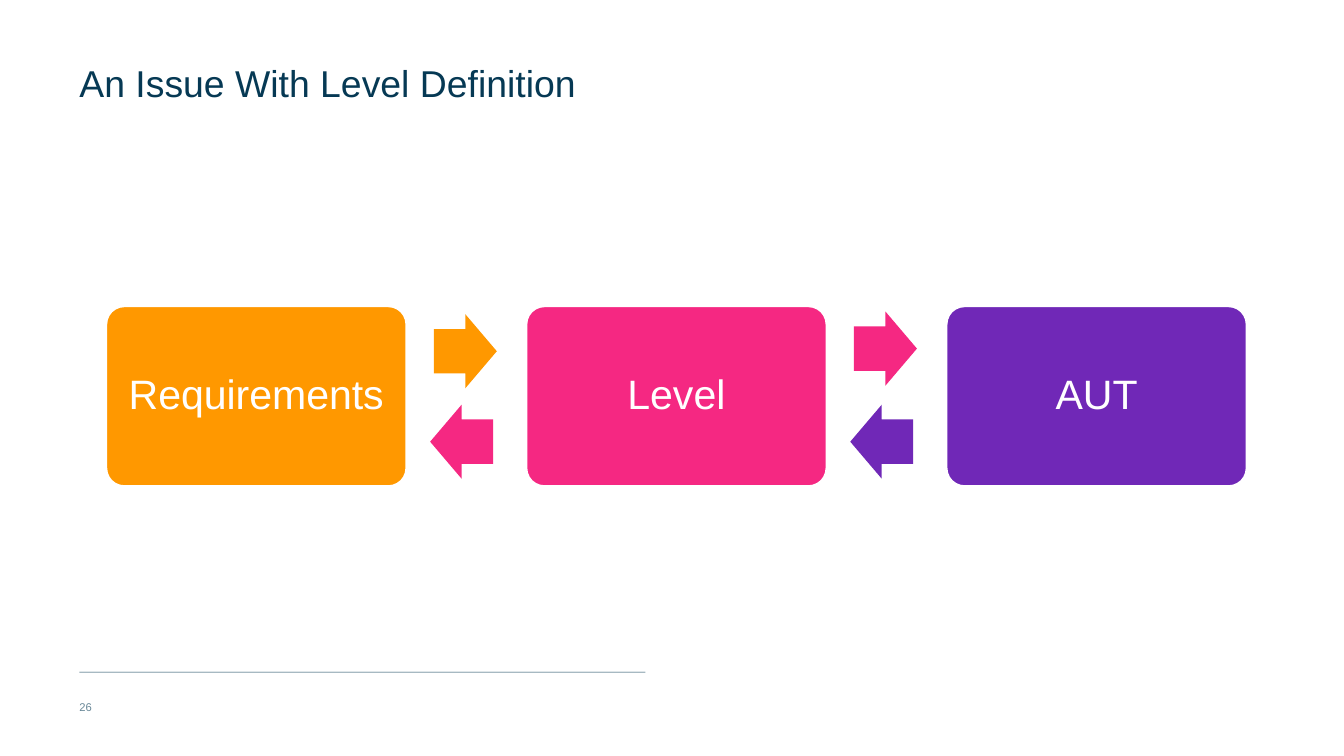
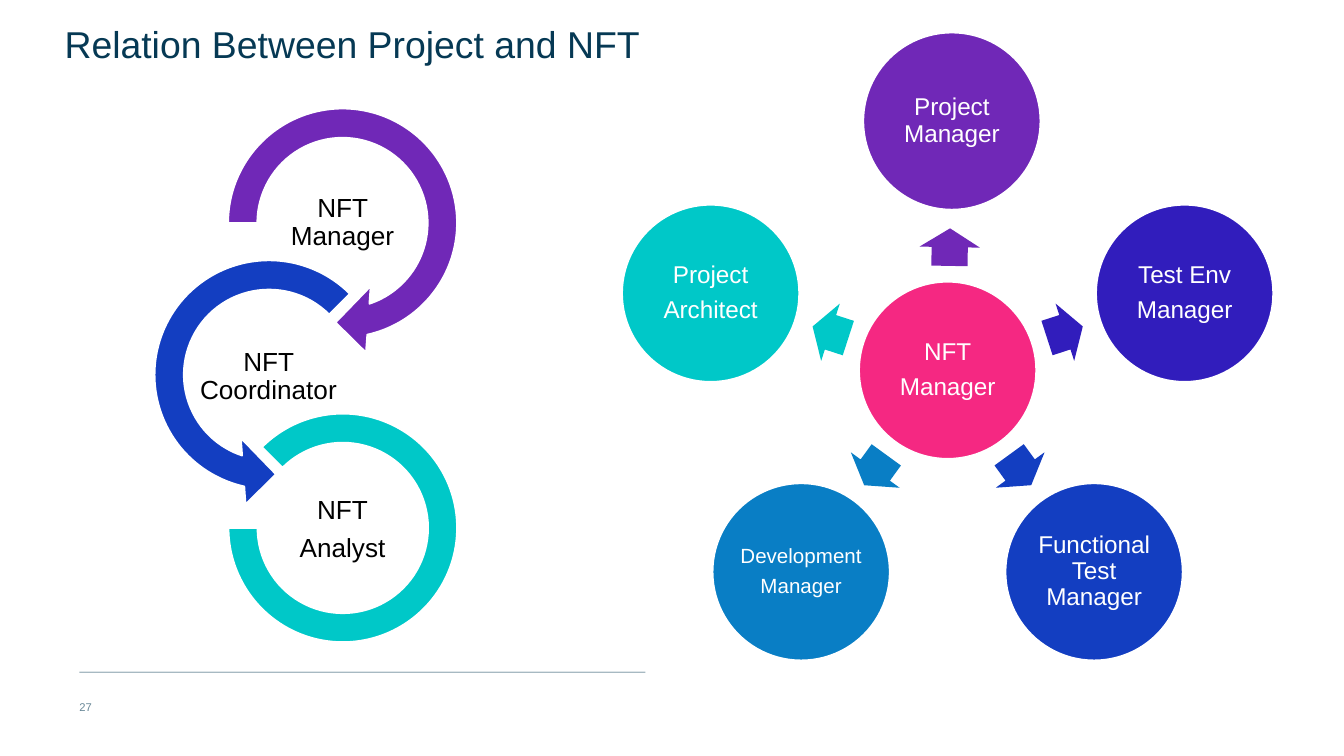
from dataclasses import dataclass
from math import atan2, cos, degrees, hypot, radians, sin
from typing import Optional

from pptx import Presentation
from pptx.dml.color import RGBColor
from pptx.enum.shapes import MSO_SHAPE
from pptx.enum.text import MSO_ANCHOR, MSO_AUTO_SIZE, PP_ALIGN
from pptx.shapes.autoshape import Shape
from pptx.slide import Slide
from pptx.text.text import TextFrame
from pptx.util import Cm, Pt

NAVY = RGBColor(0x06, 0x39, 0x54)
SLATE = RGBColor(0x69, 0x88, 0x98)
WHITE = RGBColor(0xFF, 0xFF, 0xFF)
BLACK = RGBColor(0x00, 0x00, 0x00)
ORANGE = RGBColor(0xFF, 0x98, 0x00)
PINK = RGBColor(0xF5, 0x28, 0x82)
PURPLE = RGBColor(0x70, 0x28, 0xB7)
INDIGO = RGBColor(0x31, 0x1D, 0xBC)
BLUE = RGBColor(0x13, 0x3E, 0xC1)
AZURE = RGBColor(0x09, 0x7E, 0xC5)
TEAL = RGBColor(0x00, 0xC8, 0xC8)

FONT = "Arial"
TITLE_ONLY_LAYOUT = 5
MARGIN = 1.5
ARROW_ADJUSTMENTS = (0.6, 0.5)


@dataclass(frozen=True)
class Box:
    """A rectangle in centimetres."""
    left: float
    top: float
    width: float
    height: float

    def lengths(self) -> tuple[Cm, Cm, Cm, Cm]:
        return Cm(self.left), Cm(self.top), Cm(self.width), Cm(self.height)


@dataclass(frozen=True)
class Stage:
    label: str
    color: RGBColor


@dataclass(frozen=True)
class Role:
    label: str
    color: RGBColor
    size: float = 13
    shift: float = 0


@dataclass(frozen=True)
class Loop:
    label: str
    kind: MSO_SHAPE
    color: RGBColor
    outline: Box
    adjustments: tuple[float, ...]
    label_left: float
    label_top: float


FOOTER_RULE = Box(MARGIN, 12.7, 10.7, 0.01)
PAGE_NUMBER = Box(MARGIN, 13.23, 0.51, 0.25)

STAGES = (Stage("Requirements", ORANGE), Stage("Level", PINK), Stage("AUT", PURPLE))
STAGE_BOX = Box(2.01, 5.79, 5.67, 3.4)
STAGE_STEP = 7.94
FORWARD_LEFT, FORWARD_TOPS = 8.2, (5.94, 5.89)
BACK_LEFT, BACK_TOP = 8.13, 7.65
STAGE_ARROW_SIZE = (1.19, 1.4)

HUB = Role("NFT\nManager", PINK)
HUB_X, HUB_Y = 17.91, 7.0
RING_RADIUS, ARROW_RADIUS = 4.71, 2.33
ROLE_DIAMETER = 3.35
ROLE_ARROW_SIZE = (0.71, 1.14)
ROLES = (
    Role("Project Manager", PURPLE, shift=0.08),
    Role("Test Env\nManager", INDIGO),
    Role("Functional Test Manager", BLUE),
    Role("Development\nManager", AZURE, size=11),
    Role("Project\nArchitect", TEAL),
)

LOOPS = (
    Loop("NFT Manager", MSO_SHAPE.CIRCULAR_ARROW, PURPLE, Box(3.96, 1.7, 5.03, 5.03),
         (0.11, 11.42, 45, 108, 0.125), 5.08, 3.51),
    Loop("NFT Coordinator", MSO_SHAPE.LEFT_CIRCULAR_ARROW, BLUE, Box(2.57, 4.57, 5.03, 5.03),
         (0.11, 11.42, 63, 189, 0.125), 3.68, 6.43),
    Loop("NFT\nAnalyst", MSO_SHAPE.BLOCK_ARC, TEAL, Box(4.32, 7.82, 4.32, 4.32),
         (135, 108, 0.127), 5.08, 9.32),
)
LOOP_LABEL_SIZE = (2.79, 1.4)


def set_values(target: object, values: dict) -> None:
    for name, value in values.items():
        setattr(target, name, value)


def write_text(frame: TextFrame, text: str, size: float, color: RGBColor, inset: float = 0,
               anchor: MSO_ANCHOR = MSO_ANCHOR.TOP, **paragraph_format) -> None:
    """Fill a frame with one paragraph for each line of text."""
    margins = {f"margin_{side}": Cm(inset) for side in ("left", "top", "right", "bottom")}
    set_values(frame, {"word_wrap": True, "auto_size": MSO_AUTO_SIZE.NONE,
                       "vertical_anchor": anchor, **margins})
    frame.text = text
    for paragraph in frame.paragraphs:
        set_values(paragraph, paragraph_format)
        for run in paragraph.runs:
            set_values(run.font, {"name": FONT, "size": Pt(size)})
            run.font.color.rgb = color


def write_label(frame: TextFrame, text: str, size: float, color: RGBColor,
                inset: float = 0) -> None:
    """Write centred diagram text."""
    write_text(frame, text, size, color, inset, MSO_ANCHOR.MIDDLE, alignment=PP_ALIGN.CENTER,
               line_spacing=0.9, space_after=Pt(0.35 * size))


def add_figure(slide: Slide, kind: MSO_SHAPE, box: Box, color: RGBColor,
               adjustments: tuple[float, ...] = (), outline: Optional[RGBColor] = None) -> Shape:
    shape = slide.shapes.add_shape(kind, *box.lengths())
    shape.shadow.inherit = False
    shape.fill.solid()
    shape.fill.fore_color.rgb = color
    for index, value in enumerate(adjustments):
        shape.adjustments[index] = value
    if outline is None:
        shape.line.fill.background()
    else:
        shape.line.color.rgb = outline
        shape.line.width = Pt(1)
    return shape


def add_base_slide(presentation: Presentation, title: str, title_box: Box, number: int) -> Slide:
    """Add a slide with its title, footer rule and page number."""
    slide = presentation.slides.add_slide(presentation.slide_layouts[TITLE_ONLY_LAYOUT])
    heading = slide.shapes.title
    set_values(heading, dict(zip(("left", "top", "width", "height"), title_box.lengths())))
    write_text(heading.text_frame, title, 20, NAVY, alignment=PP_ALIGN.LEFT, line_spacing=1.1)

    add_figure(slide, MSO_SHAPE.RECTANGLE, FOOTER_RULE, NAVY)
    page_number = slide.shapes.add_textbox(*PAGE_NUMBER.lengths())
    write_text(page_number.text_frame, str(number), 6, SLATE)
    return slide


def add_stages(slide: Slide) -> None:
    for index, stage in enumerate(STAGES):
        offset = index * STAGE_STEP
        box = Box(STAGE_BOX.left + offset, STAGE_BOX.top, STAGE_BOX.width, STAGE_BOX.height)
        shape = add_figure(slide, MSO_SHAPE.ROUNDED_RECTANGLE, box, stage.color, (0.1,), WHITE)
        write_label(shape.text_frame, stage.label, 22, WHITE, 0.23)

    for index, (source, target) in enumerate(zip(STAGES, STAGES[1:])):
        offset = index * STAGE_STEP
        forward = Box(FORWARD_LEFT + offset, FORWARD_TOPS[index], *STAGE_ARROW_SIZE)
        back = Box(BACK_LEFT + offset, BACK_TOP, *STAGE_ARROW_SIZE)
        add_figure(slide, MSO_SHAPE.RIGHT_ARROW, forward, source.color, ARROW_ADJUSTMENTS)
        add_figure(slide, MSO_SHAPE.LEFT_ARROW, back, target.color, ARROW_ADJUSTMENTS)


def centred_box(x: float, y: float, width: float, height: float) -> Box:
    return Box(x - width / 2, y - height / 2, width, height)


def add_role(slide: Slide, role: Role, x: float, y: float) -> None:
    box = centred_box(x, y, ROLE_DIAMETER, ROLE_DIAMETER)
    circle = add_figure(slide, MSO_SHAPE.OVAL, box, role.color, outline=WHITE)
    write_label(circle.text_frame, role.label, role.size, WHITE)


def add_role_ring(slide: Slide) -> None:
    """Draw the hub, the roles around it and an arrow towards each role."""
    add_role(slide, HUB, HUB_X, HUB_Y)
    for index, role in enumerate(ROLES):
        angle = radians(index * 360 / len(ROLES) - 90)
        dx = RING_RADIUS * cos(angle) + role.shift
        dy = RING_RADIUS * sin(angle)
        ratio = ARROW_RADIUS / hypot(dx, dy)
        arrow_box = centred_box(HUB_X + dx * ratio, HUB_Y + dy * ratio, *ROLE_ARROW_SIZE)
        arrow = add_figure(slide, MSO_SHAPE.RIGHT_ARROW, arrow_box, role.color, ARROW_ADJUSTMENTS)
        arrow.rotation = degrees(atan2(dy, dx)) % 360
        add_role(slide, role, HUB_X + dx, HUB_Y + dy)


def add_loops(slide: Slide) -> None:
    for loop in LOOPS:
        add_figure(slide, loop.kind, loop.outline, loop.color, loop.adjustments, WHITE)
        box = Box(loop.label_left, loop.label_top, *LOOP_LABEL_SIZE)
        label = slide.shapes.add_textbox(*box.lengths())
        write_label(label.text_frame, loop.label, 14, BLACK, 0.03)


def main() -> None:
    presentation = Presentation()
    set_values(presentation, {"slide_width": Cm(25.4), "slide_height": Cm(14.29)})

    level_slide = add_base_slide(presentation, "An Issue With Level Definition",
                                 Box(MARGIN, 1.05, 10.7, 2.78), 26)
    add_stages(level_slide)

    relation_slide = add_base_slide(presentation, "Relation Between Project and NFT",
                                    Box(1.22, 0.32, 11.28, 1.2), 27)
    add_role_ring(relation_slide)
    add_loops(relation_slide)

    presentation.save("out.pptx")


if __name__ == "__main__":
    main()
